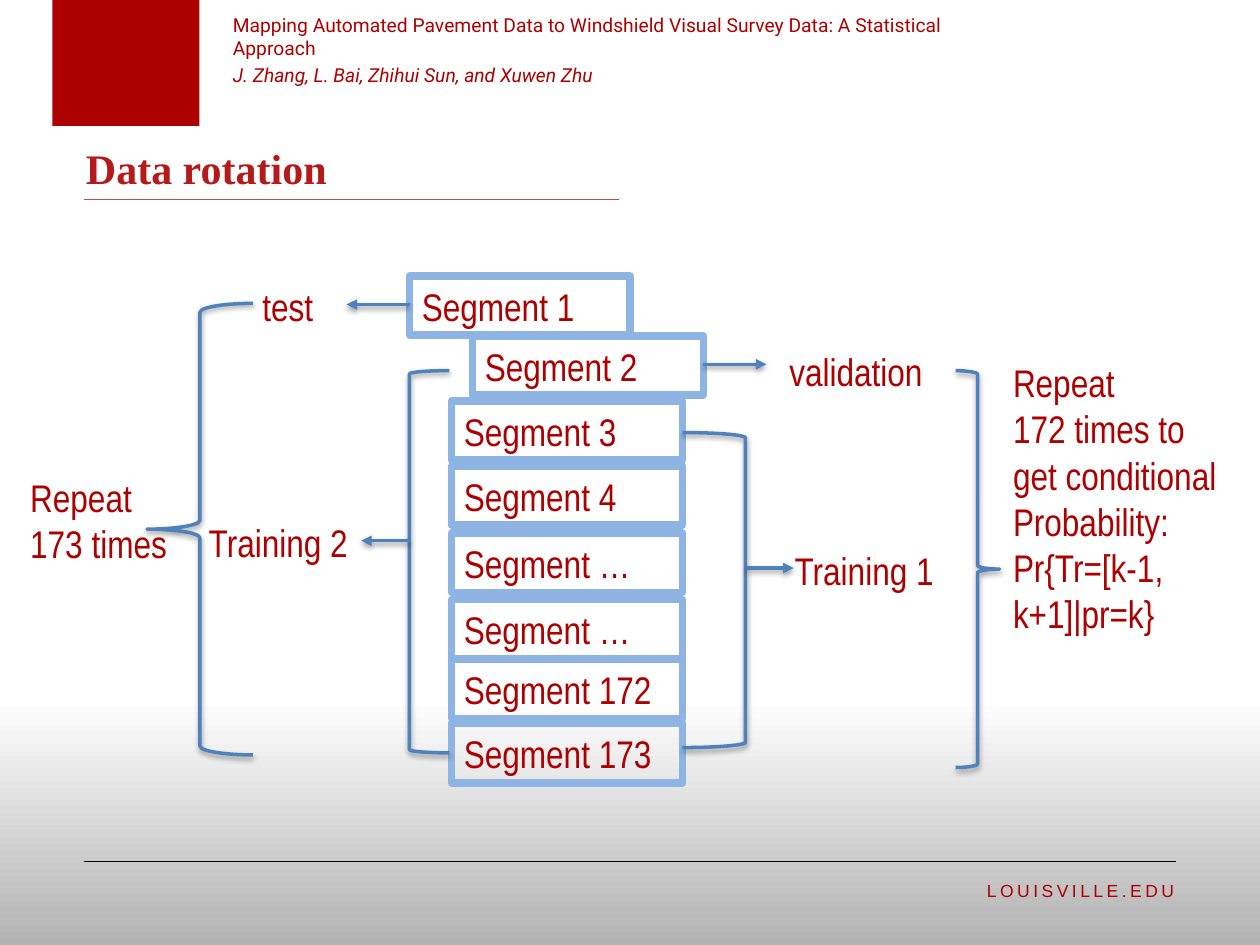
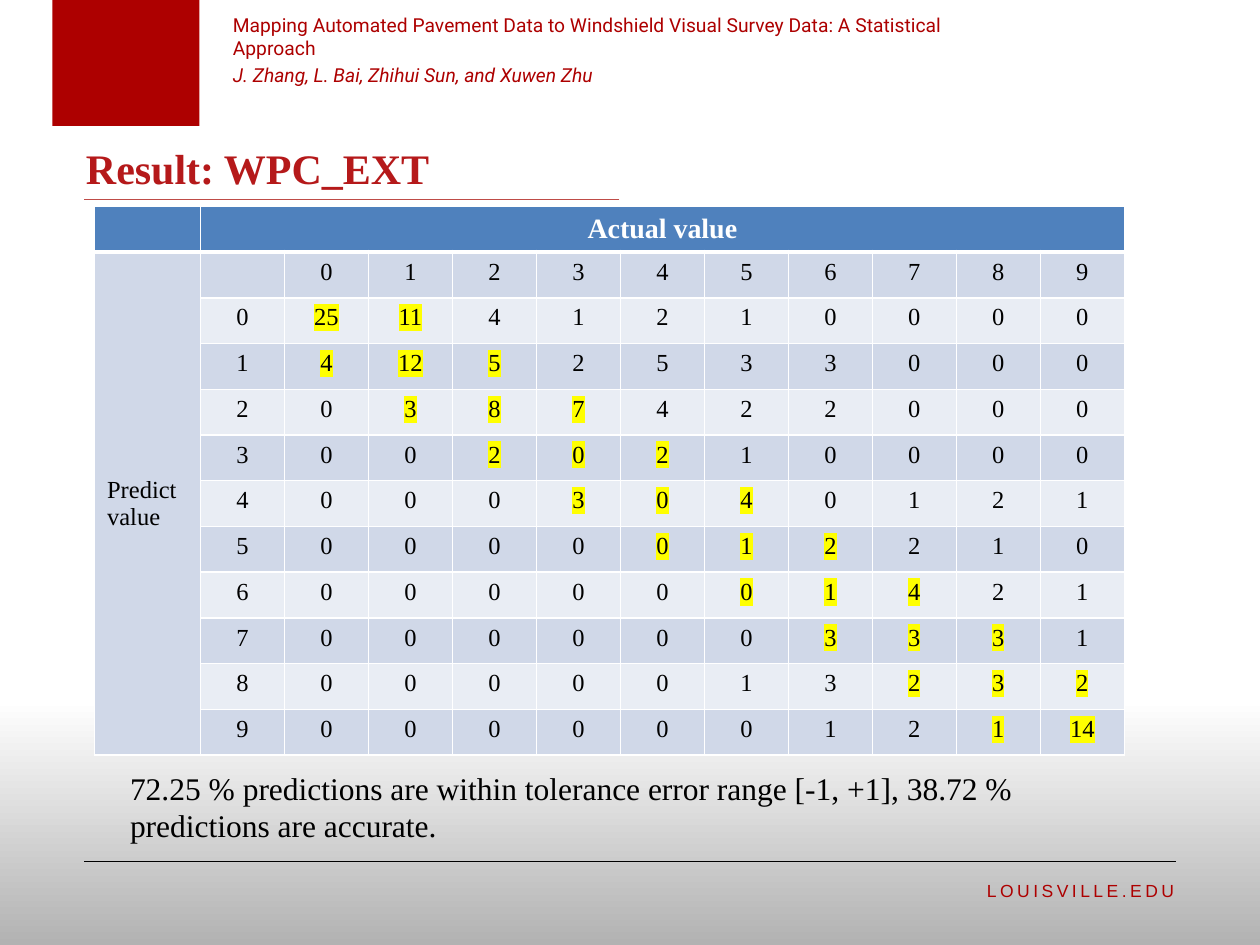
from dataclasses import dataclass
from typing import NamedTuple

from lxml import etree
from pptx import Presentation
from pptx.dml.color import RGBColor
from pptx.enum.shapes import MSO_CONNECTOR, MSO_SHAPE
from pptx.enum.text import MSO_ANCHOR, MSO_AUTO_SIZE, PP_ALIGN
from pptx.oxml.ns import qn
from pptx.util import Inches, Pt

RECTANGLE = MSO_SHAPE.RECTANGLE
LEFT_BRACE, RIGHT_BRACE = MSO_SHAPE.LEFT_BRACE, MSO_SHAPE.RIGHT_BRACE
LEFT_BRACKET, RIGHT_BRACKET = MSO_SHAPE.LEFT_BRACKET, MSO_SHAPE.RIGHT_BRACKET
STRAIGHT = MSO_CONNECTOR.STRAIGHT
TOP, MIDDLE, BOTTOM = MSO_ANCHOR.TOP, MSO_ANCHOR.MIDDLE, MSO_ANCHOR.BOTTOM
LEFT, CENTER, RIGHT = PP_ALIGN.LEFT, PP_ALIGN.CENTER, PP_ALIGN.RIGHT
GROW = MSO_AUTO_SIZE.SHAPE_TO_FIT_TEXT

SLIDE_WIDTH, SLIDE_HEIGHT = Inches(10), Inches(7.5)
GRID_COLUMNS, GRID_ROWS = 120, 90


class Style(NamedTuple):
    font: str
    size: float
    color: str
    bold: bool = False
    italic: bool = False
    tracking: float = 0
    highlight: str = ""


@dataclass(frozen=True)
class Theme:
    cardinal: str = "AD0000"
    title_rule: str = "BF4C48"
    black: str = "000000"
    white: str = "FFFFFF"
    backdrop_end: str = "B2B2B2"
    segment_edge: str = "8EB4E3"
    blue: str = "4F81BD"
    bands: tuple[str, str] = ("D0D8E8", "E9EDF4")
    title: Style = Style("Times New Roman", 24, "B5191A", bold=True)
    paper: Style = Style("Roboto", 11, "AD0000")
    authors: Style = Style("Roboto", 11, "AD0000", italic=True)
    footer: Style = Style("Arial", 10, "AD0000", tracking=2)
    diagram: Style = Style("Arial Narrow", 22, "AD0000")
    table_head: Style = Style("Times New Roman", 16, "FFFFFF", bold=True)
    table_body: Style = Style("Times New Roman", 14, "000000")
    tolerated: Style = Style("Times New Roman", 14, "000000", highlight="FFFF00")
    caption: Style = Style("Times New Roman", 18, "000000")


THEME = Theme()


class Area(NamedTuple):
    left: float
    top: float
    width: float
    height: float


class Label(NamedTuple):
    lines: tuple[str, ...]
    area: Area
    wrap: bool = True


class Arrow(NamedTuple):
    start: float
    end: float
    row: float


class Bracket(NamedTuple):
    outline: MSO_SHAPE
    area: Area


class Segment(NamedTuple):
    name: str
    top: float
    left: float = 43
    width: float = 22


LINE_HEIGHT = 5.64
SEGMENTS = (
    Segment("1", 26.3, 39, 21),
    Segment("2", 32, 45),
    Segment("3", 38.2),
    Segment("4", 44.4),
    Segment("…", 50.8),
    Segment("…", 57.1),
    Segment("172", 62.8),
    Segment("173", 68.9),
)
LABELS = (
    Label(("test",), Area(23.8, 26.3, 7.9, LINE_HEIGHT), wrap=False),
    Label(("validation",), Area(74, 32.5, 17, LINE_HEIGHT)),
    Label(("Repeat 173 times",), Area(1.7, 44.4, 17, 10.1)),
    Label(("Training 1",), Area(74.5, 51.4, 18.1, LINE_HEIGHT)),
    Label(("Training 2",), Area(18.7, 48.8, 18.1, LINE_HEIGHT)),
    Label(
        ("Repeat", "172 times to", "get conditional", "Probability:", "Pr{Tr=[k-1, k+1]|pr=k}"),
        Area(95.3, 28.9, 21.8, 32.3),
    ),
)
ARROWS = (Arrow(39, 33, 29), Arrow(67, 73, 34.7), Arrow(71.1, 75.6, 54.1), Arrow(39, 34.4, 51.5))
BRACKETS = (
    Bracket(LEFT_BRACE, Area(14, 28.9, 10.1, 43)),
    Bracket(RIGHT_BRACKET, Area(65, 41.2, 6, 30)),
    Bracket(RIGHT_BRACE, Area(91, 35.3, 4.2, 37.8)),
    Bracket(LEFT_BRACKET, Area(39, 35.3, 3.8, 36.4)),
)
PREDICTIONS = (
    (25, 11, 4, 1, 2, 1, 0, 0, 0, 0),
    (4, 12, 5, 2, 5, 3, 3, 0, 0, 0),
    (0, 3, 8, 7, 4, 2, 2, 0, 0, 0),
    (0, 0, 2, 0, 2, 1, 0, 0, 0, 0),
    (0, 0, 0, 3, 0, 4, 0, 1, 2, 1),
    (0, 0, 0, 0, 0, 1, 2, 2, 1, 0),
    (0, 0, 0, 0, 0, 0, 1, 4, 2, 1),
    (0, 0, 0, 0, 0, 0, 3, 3, 3, 1),
    (0, 0, 0, 0, 0, 1, 3, 2, 3, 2),
    (0, 0, 0, 0, 0, 0, 1, 2, 1, 14),
)


def across(columns: float) -> int:
    return round(SLIDE_WIDTH * columns / GRID_COLUMNS)


def down(rows: float) -> int:
    return round(SLIDE_HEIGHT * rows / GRID_ROWS)


def place(area: Area) -> tuple[int, int, int, int]:
    return across(area.left), down(area.top), across(area.width), down(area.height)


def rgb(color: str) -> RGBColor:
    return RGBColor.from_string(color)


def add_color(parent, tag: str, color: str):
    holder = etree.SubElement(parent, qn(tag))
    return etree.SubElement(holder, qn("a:srgbClr"), val=color)


def add_run(paragraph, text: str, style: Style) -> None:
    run = paragraph.add_run()
    run.text = text
    font = run.font
    font.size, font.bold, font.italic = Pt(style.size), style.bold, style.italic
    font.color.rgb = rgb(style.color)
    properties = run._r.get_or_add_rPr()
    if style.highlight:
        add_color(properties, "a:highlight", style.highlight)
    if style.tracking:
        properties.set("spc", str(round(style.tracking * 100)))
    font.name = style.font


def write(frame, lines, anchor=BOTTOM, align=LEFT, gap: float = 0) -> None:
    frame.word_wrap = True
    frame.vertical_anchor = anchor
    for index, (text, style) in enumerate(lines):
        paragraph = frame.add_paragraph() if index else frame.paragraphs[0]
        paragraph.alignment = align
        if index and gap:
            paragraph.space_before = Pt(gap)
        add_run(paragraph, text, style)


def add_text(slide, area: Area, *lines: tuple[str, Style], **layout):
    frame = slide.shapes.add_textbox(*place(area)).text_frame
    write(frame, lines, **layout)
    return frame


def set_effect(shape, shadow: bool) -> None:
    effects = etree.SubElement(shape._element.spPr, qn("a:effectLst"))
    if shadow:
        outer = etree.SubElement(
            effects, qn("a:outerShdw"), blurRad="40000", dist="20000", dir="5400000", rotWithShape="0"
        )
        tint = etree.SubElement(outer, qn("a:srgbClr"), val=THEME.black)
        etree.SubElement(tint, qn("a:alpha"), val="38000")


def add_outline(slide, outline, area: Area, color: str, width: float, shadow: bool = False):
    shape = slide.shapes.add_shape(outline, *place(area))
    shape.fill.background()
    shape.line.color.rgb = rgb(color)
    shape.line.width = Pt(width)
    set_effect(shape, shadow)
    return shape


def add_line(slide, span: Arrow, color: str, width: float, arrow: bool = False) -> None:
    y = down(span.row)
    line = slide.shapes.add_connector(STRAIGHT, across(span.start), y, across(span.end), y)
    line.line.color.rgb = rgb(color)
    line.line.width = Pt(width)
    if arrow:
        etree.SubElement(line._element.spPr.find(qn("a:ln")), qn("a:tailEnd"), type="triangle")
    set_effect(line, arrow)


def add_framed_slide(deck, title: str):
    slide = deck.slides.add_slide(deck.slide_layouts[6])
    backdrop = slide.background.fill
    backdrop.gradient()
    backdrop.gradient_angle = 270
    stops = ((0.74, THEME.white), (1, THEME.backdrop_end))
    for stop, (position, color) in zip(backdrop.gradient_stops, stops):
        stop.position, stop.color.rgb = position, rgb(color)
    add_line(slide, Arrow(112, 8, 82), THEME.black, 0.5)
    emblem = slide.shapes.add_shape(RECTANGLE, *place(Area(5, 0, 14, 12)))
    emblem.fill.solid()
    emblem.fill.fore_color.rgb = rgb(THEME.cardinal)
    emblem.line.fill.background()
    emblem.shadow.inherit = False
    add_text(slide, Area(86, 83.2, 27, 4.8), ("LOUISVILLE.EDU", THEME.footer), anchor=TOP, align=RIGHT)
    add_line(slide, Arrow(59, 8, 19), THEME.title_rule, 0.75)
    add_text(slide, Area(7, 13, 52, 6), (title, THEME.title))
    paper = "Mapping Automated Pavement Data to Windshield Visual Survey Data: A Statistical Approach"
    authors = "J. Zhang, L. Bai, Zhihui Sun, and Xuwen Zhu"
    add_text(slide, Area(21, 2, 78, 6.84), (paper, THEME.paper), (authors, THEME.authors), gap=2.2)
    return slide


def build_rotation(deck) -> None:
    slide = add_framed_slide(deck, "Data rotation")
    for segment in SEGMENTS:
        area = Area(segment.left, segment.top, segment.width, LINE_HEIGHT)
        box = add_outline(slide, RECTANGLE, area, THEME.segment_edge, 4.5)
        write(box.text_frame, [(f"Segment {segment.name}", THEME.diagram)])
        box.text_frame.auto_size = GROW
    for bracket in BRACKETS:
        add_outline(slide, bracket.outline, bracket.area, THEME.blue, 2, shadow=True)
    for arrow in ARROWS:
        add_line(slide, arrow, THEME.blue, 2, arrow=True)
    for label in LABELS:
        frame = add_text(slide, label.area, *((line, THEME.diagram) for line in label.lines))
        frame.word_wrap = label.wrap
        frame.auto_size = GROW


def paint_cell(cell, fill: str, top: float = 1, bottom: float = 1) -> None:
    properties = cell._tc.get_or_add_tcPr()
    for side, width in (("L", 1), ("R", 1), ("T", top), ("B", bottom)):
        edge = etree.SubElement(properties, qn(f"a:ln{side}"), w=str(Pt(width)))
        add_color(edge, "a:solidFill", THEME.white)
    cell.fill.solid()
    cell.fill.fore_color.rgb = rgb(fill)


def fill_cell(cell, text: str, style: Style, anchor=TOP, align=CENTER) -> None:
    cell.vertical_anchor = anchor
    paragraph = cell.text_frame.paragraphs[0]
    paragraph.alignment = align
    add_run(paragraph, text, style)


def build_result(deck) -> None:
    slide = add_framed_slide(deck, "Result: WPC_EXT")
    classes = len(PREDICTIONS)
    rows, columns = classes + 2, classes + 2
    row_height = 4.36
    area = Area(9, 19.6, 98.1, rows * row_height)
    table = slide.shapes.add_table(rows, columns, *place(area)).table
    for index, column in enumerate(table.columns):
        column.width = across(8 if index else 10.1)
    for index, row in enumerate(table.rows):
        row.height = down(row_height)
        for cell in row.cells:
            fill = THEME.bands[(index - 1) % 2] if index else THEME.blue
            paint_cell(cell, fill, top=3 if index == 1 else 1, bottom=1 if index else 3)
    table.cell(0, 1).merge(table.cell(0, columns - 1))
    table.cell(1, 0).merge(table.cell(rows - 1, 0))
    fill_cell(table.cell(0, 1), "Actual value", THEME.table_head, MIDDLE)
    fill_cell(table.cell(1, 0), "Predict value", THEME.table_body, MIDDLE, LEFT)
    for predicted, counts in enumerate(PREDICTIONS):
        fill_cell(table.cell(1, predicted + 2), str(predicted), THEME.table_body)
        fill_cell(table.cell(predicted + 2, 1), str(predicted), THEME.table_body)
        for actual, count in enumerate(counts):
            style = THEME.tolerated if abs(predicted - actual) <= 1 else THEME.table_body
            fill_cell(table.cell(predicted + 2, actual + 2), str(count), style)
    for cell in table.iter_cells():
        if not cell.text_frame.text:
            paragraph = cell.text_frame.paragraphs[0]._p
            etree.SubElement(paragraph, qn("a:endParaRPr"), sz=str(THEME.table_body.size * 100))
    summary = (
        "72.25 % predictions are within tolerance error range [-1, +1], "
        "38.72 % predictions are accurate."
    )
    add_text(slide, Area(11.2, 72.5, 93.7, 8.5), (summary, THEME.caption)).auto_size = GROW


def main() -> None:
    deck = Presentation()
    deck.slide_width, deck.slide_height = SLIDE_WIDTH, SLIDE_HEIGHT
    build_rotation(deck)
    build_result(deck)
    deck.save("out.pptx")


if __name__ == "__main__":
    main()
